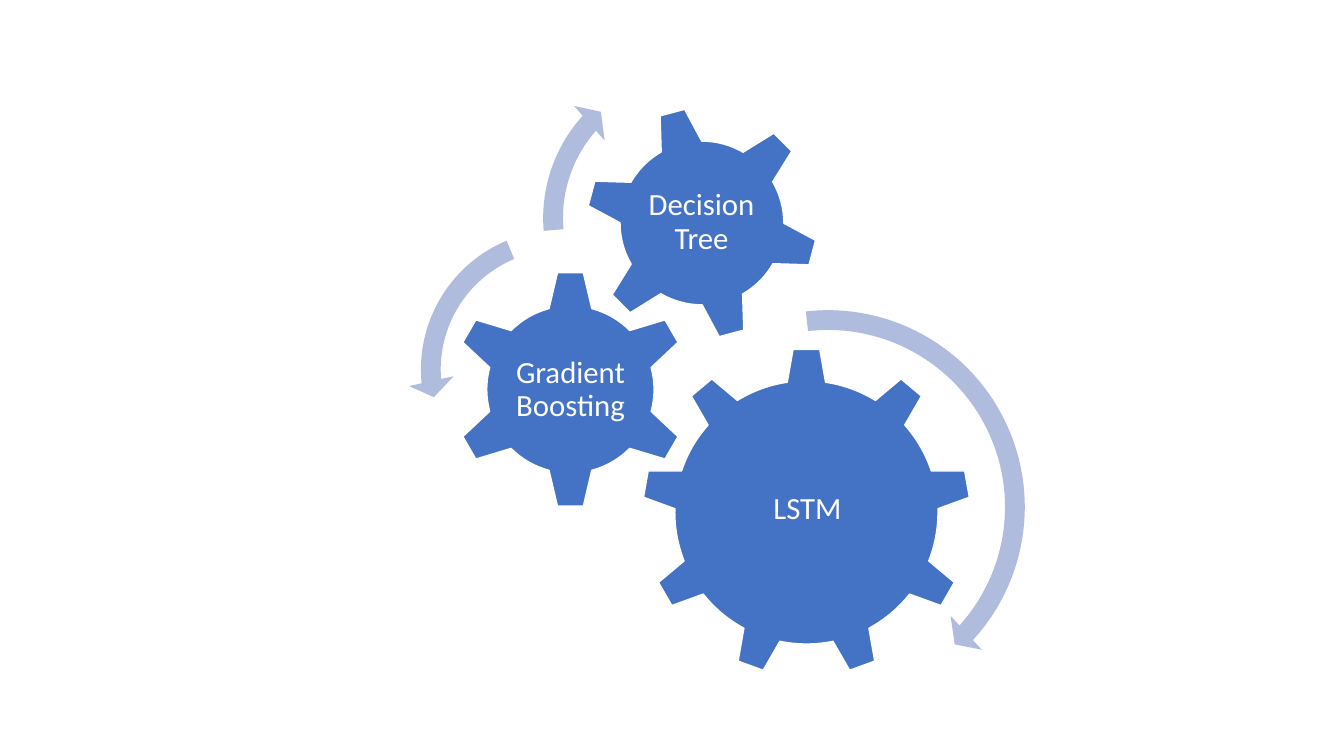
from pptx import Presentation
from pptx.dml.color import RGBColor
from pptx.enum.shapes import MSO_SHAPE
from pptx.enum.text import MSO_ANCHOR, PP_ALIGN
from pptx.util import Pt

BLUE = RGBColor(0x44, 0x72, 0xC4)
PALE_BLUE = RGBColor(0xB0, 0xBC, 0xDE)
WHITE = RGBColor(0xFF, 0xFF, 0xFF)

# Gears: label, preset, left, top, size, rotation, label box (left, top, width, height)
GEARS = [
    ("LSTM", MSO_SHAPE.GEAR_9, 642, 348, 329, 0, (709, 425, 197, 169)),
    ("Gradient Boosting", MSO_SHAPE.GEAR_6, 451, 270, 239, 0, (511, 331, 119, 118)),
    ("Decision Tree", MSO_SHAPE.GEAR_6, 585, 106, 234, 345, (636, 157, 131, 131)),
]

# Arrows: preset, left, top, size, adjustments
ARROWS = [
    (MSO_SHAPE.CIRCULAR_ARROW, 618, 297, 420, (0.047, 2.99, 25.39, 158.12, 0.055)),
    (MSO_SHAPE.LEFT_CIRCULAR_ARROW, 408, 217, 305, (0.065, 4.3, 104.89, 148.38, 0.075)),
    (MSO_SHAPE.CIRCULAR_ARROW, 530, 53, 330, (0.06, 3.94, 133.14, 105.08, 0.07)),
]


def px(length):
    return round(length * 914400 / 100.8)


def add_square_shape(page, preset, left, top, size, color):
    shape = page.shapes.add_shape(preset, px(left), px(top), px(size), px(size))
    shape.shadow.inherit = False
    shape.fill.solid()
    shape.fill.fore_color.rgb = color
    return shape


def add_label(page, label, bounds):
    box = page.shapes.add_textbox(*map(px, bounds))
    frame = box.text_frame
    frame.word_wrap = True
    frame.vertical_anchor = MSO_ANCHOR.MIDDLE
    frame.margin_left = frame.margin_right = px(3)
    frame.margin_top = frame.margin_bottom = px(3)
    para = frame.paragraphs[0]
    para.text = label
    para.alignment = PP_ALIGN.CENTER
    para.line_spacing = 0.9
    para.font.name = "Calibri"
    para.font.size = Pt(22)
    para.font.color.rgb = WHITE


def main():
    deck = Presentation()
    deck.slide_width, deck.slide_height = px(1344), px(756)
    page = deck.slides.add_slide(deck.slide_layouts[6])

    # Gears with their labels
    for label, preset, left, top, size, rotation, bounds in GEARS:
        gear = add_square_shape(page, preset, left, top, size, BLUE)
        gear.rotation = rotation
        gear.line.color.rgb = WHITE
        gear.line.width = Pt(1)
        add_label(page, label, bounds)

    # Arrows around the gears
    for preset, left, top, size, adjustments in ARROWS:
        arrow = add_square_shape(page, preset, left, top, size, PALE_BLUE)
        arrow.line.fill.background()
        for index, value in enumerate(adjustments):
            arrow.adjustments[index] = value

    deck.save("out.pptx")


if __name__ == "__main__":
    main()
